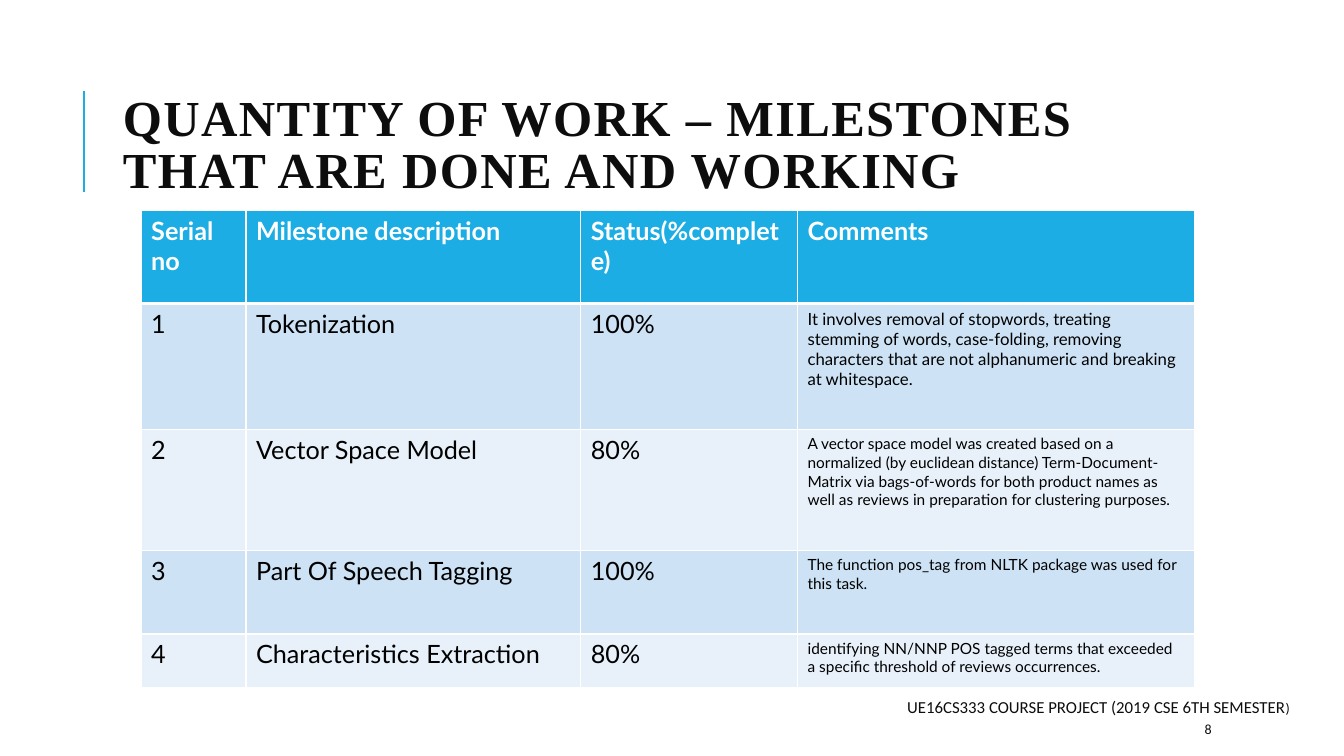
from lxml import etree
from pptx import Presentation
from pptx.dml.color import RGBColor
from pptx.enum.shapes import MSO_CONNECTOR
from pptx.enum.text import MSO_ANCHOR, PP_ALIGN
from pptx.oxml.ns import qn
from pptx.util import Inches, Pt

BLUE = RGBColor(0x1C, 0xAD, 0xE4)
BAND_DARK = RGBColor(0xCD, 0xE3, 0xF5)
BAND_LIGHT = RGBColor(0xE8, 0xF1, 0xFA)
WHITE = RGBColor(0xFF, 0xFF, 0xFF)
BLACK = RGBColor(0, 0, 0)
INK = RGBColor(0x0D, 0x0D, 0x0D)

HEADERS = ["Serial \nno", "Milestone description", "Status(%complete)", "Comments"]
# Milestone, status, comment, comment size
MILESTONES = [
    ("Tokenization", "100%",
     "It involves removal of stopwords, treating stemming of words, case-folding, "
     "removing characters that are not alphanumeric and breaking at whitespace.", 12),
    ("Vector Space Model", "80%",
     "A vector space model was created based on a normalized (by euclidean distance) "
     "Term-Document-Matrix via bags-of-words for both product names as well as reviews "
     "in preparation for clustering purposes. ", 11),
    ("Part Of Speech Tagging", "100%",
     "The function pos_tag from NLTK package was used for this task.", 11),
    ("Characteristics Extraction", "80%",
     "identifying NN/NNP POS tagged terms that exceeded a specific threshold of "
     "reviews occurrences.", 11),
]
COLUMN_WIDTHS = [1.04, 3.32, 2.15, 3.94]
ROW_HEIGHTS = [0.92, 1.25, 1.2, 0.83, 0.53]


def style(run, size, font, color, bold=False):
    run.font.size = Pt(size)
    run.font.name = font
    run.font.color.rgb = color
    run.font.bold = bold


def add_text(slide, box, runs, font, bold=False, align=PP_ALIGN.LEFT):
    """Add one vertically centred paragraph made of (text, size) runs."""
    frame = slide.shapes.add_textbox(*map(Inches, box)).text_frame
    frame.word_wrap = True
    frame.vertical_anchor = MSO_ANCHOR.MIDDLE
    paragraph = frame.paragraphs[0]
    paragraph.alignment = align
    for text, size in runs:
        run = paragraph.add_run()
        run.text = text
        style(run, size, font, INK, bold)
    return paragraph


def add_title(slide, box):
    left, top, _, height = box
    # Accent rule beside the title
    x, middle = Inches(left - 0.29), top + height / 2 - 0.06
    rule = slide.shapes.add_connector(
        MSO_CONNECTOR.STRAIGHT, x, Inches(middle + 0.5), x, Inches(middle - 0.5))
    rule.line.color.rgb = BLUE
    rule.line.width = Pt(1.5)
    etree.SubElement(rule._element.spPr, qn("a:effectLst"))
    # Title with wide letter spacing
    title = add_text(
        slide, box,
        [("QUANTITY OF WORK – MILESTONES THAT ARE DONE AND WORKING", 36)],
        "Times New Roman", bold=True)
    title.line_spacing = 0.85
    title.runs[0].font._element.set("spc", "100")


def set_borders(cell, widths):
    """Draw white borders; widths maps a side (L, R, T, B) to points."""
    properties = cell._tc.get_or_add_tcPr()
    for position, (side, width) in enumerate(widths.items()):
        line = etree.Element(qn(f"a:ln{side}"), w=str(Pt(width)))
        fill = etree.SubElement(line, qn("a:solidFill"))
        etree.SubElement(fill, qn("a:srgbClr"), val=str(WHITE))
        properties.insert(position, line)


def add_milestone_table(slide, box):
    rows = [[(text, 18) for text in HEADERS]]
    for number, (name, status, comment, size) in enumerate(MILESTONES, 1):
        rows.append([(str(number), 18), (name, 18), (status, 18), (comment, size)])
    table = slide.shapes.add_table(
        len(rows), len(HEADERS), *map(Inches, box)).table
    for column, width in zip(table.columns, COLUMN_WIDTHS):
        column.width = Inches(width)
    for r, (row, height) in enumerate(zip(rows, ROW_HEIGHTS)):
        table.rows[r].height = Inches(height)
        header = r == 0
        fill = BLUE if header else (BAND_DARK if r % 2 else BAND_LIGHT)
        for c, (text, size) in enumerate(row):
            cell = table.cell(r, c)
            cell.fill.solid()
            cell.fill.fore_color.rgb = fill
            cell.text = text
            for paragraph in cell.text_frame.paragraphs:
                for run in paragraph.runs:
                    style(run, size, "Lato", WHITE if header else BLACK, header)
            set_borders(cell, {"L": 1, "R": 1, "T": 3 if r == 1 else 1,
                               "B": 3 if header else 1})


def add_footer(slide, box):
    left, top, _, _ = box
    add_text(slide, box,
             [("UE16CS333 COURSE PROJECT (2019 CSE 6TH SEMESTER", 12), (")", 10)],
             "Calibri", align=PP_ALIGN.RIGHT)
    # Page number
    add_text(slide, (left + 5.41, top + 0.44, 1.06, 0.3), [("8", 10)], "Calibri")


presentation = Presentation()
presentation.slide_width = Inches(13.33)
presentation.slide_height = Inches(7.5)
slide = presentation.slides.add_slide(presentation.slide_layouts[6])
add_title(slide, (1.12, 0.64, 10.63, 1.64))
add_footer(slide, (6.44, 6.64, 6.45, 0.74))
add_milestone_table(slide, (1.4, 2.09, sum(COLUMN_WIDTHS), sum(ROW_HEIGHTS)))
presentation.save("out.pptx")
